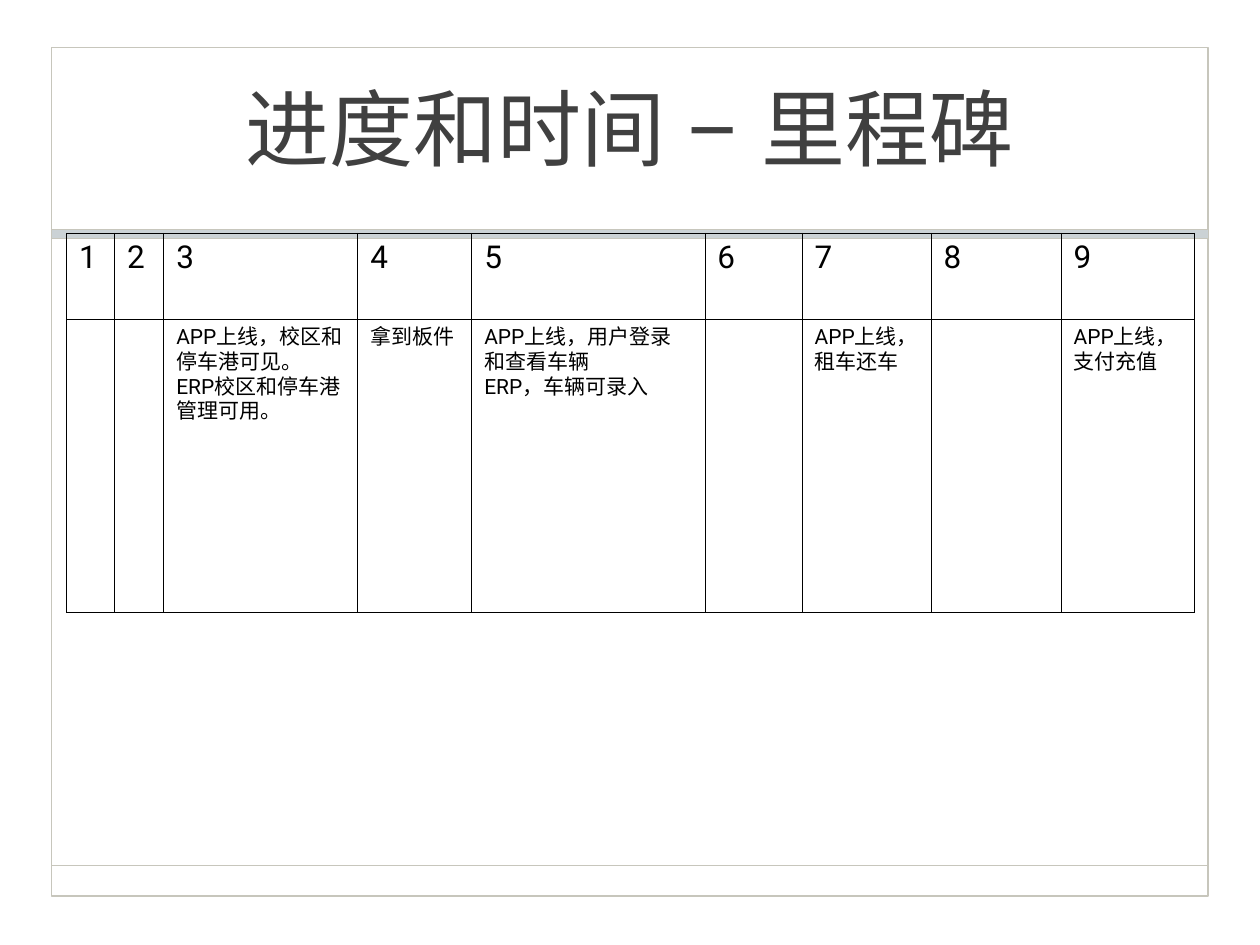
from lxml.etree import SubElement
from pptx import Presentation
from pptx.dml.color import RGBColor
from pptx.enum.shapes import MSO_CONNECTOR, MSO_SHAPE
from pptx.enum.text import MSO_ANCHOR, PP_ALIGN
from pptx.oxml.ns import qn
from pptx.util import Cm, Pt

TITLE = "进度和时间 – 里程碑"
MILESTONES = [
    "",
    "",
    "APP上线，校区和停车港可见。\nERP校区和停车港管理可用。",
    "拿到板件",
    "APP上线，用户登录和查看车辆\nERP，车辆可录入",
    "",
    "APP上线，租车还车",
    "",
    "APP上线，支付充值",
]
ROWS = [
    {"texts": [str(week) for week in range(1, len(MILESTONES) + 1)], "height": 1.73, "size": 18},
    {"texts": MILESTONES, "height": 5.92, "size": 12},
]
COLUMN_WIDTHS = [0.97, 0.99, 3.91, 2.3, 4.7, 1.96, 2.6, 2.62, 2.68]
COLORS = {"frame": "C7C6BC", "band": "CBD2D5", "title": "404040", "text": "000000", "border": "000000"}
FONT = "Roboto"
FRAME_LEFT, FRAME_WIDTH = 1.04, 23.31
BORDER_WIDTH = Pt(0.45)


def color(name):
    """Return the named colour."""
    return RGBColor.from_string(COLORS[name])


def style_text(frame, size, color_name):
    """Format every run of a text frame."""
    for para in frame.paragraphs:
        for span in para.runs:
            span.font.name = FONT
            span.font.size = Pt(size)
            span.font.color.rgb = color(color_name)
            SubElement(span.font._element, qn("a:ea")).set("typeface", FONT)


def add_box(page, top, height, line_width, fill=None):
    """Add a rectangle as wide as the page frame."""
    box = page.shapes.add_shape(
        MSO_SHAPE.RECTANGLE, Cm(FRAME_LEFT), Cm(top), Cm(FRAME_WIDTH), Cm(height))
    box.shadow.inherit = False
    if fill:
        box.fill.solid()
        box.fill.fore_color.rgb = color(fill)
    else:
        box.fill.background()
    box.line.color.rgb = color("frame")
    box.line.width = Pt(line_width)


def add_footer_line(page, top):
    """Add the thin rule near the bottom of the frame."""
    rule = page.shapes.add_connector(
        MSO_CONNECTOR.STRAIGHT, Cm(FRAME_LEFT), Cm(top), Cm(FRAME_LEFT + FRAME_WIDTH), Cm(top))
    rule.line.color.rgb = color("frame")
    rule.line.width = Pt(1)
    SubElement(rule._element.spPr, qn("a:effectLst"))


def add_title(page):
    """Place and format the title."""
    title = page.shapes.title
    title.left, title.top, title.width, title.height = Cm(2.49), Cm(0.69), Cm(20.4), Cm(3.73)
    frame = title.text_frame
    frame.text = TITLE
    frame.vertical_anchor = MSO_ANCHOR.MIDDLE
    frame.paragraphs[0].alignment = PP_ALIGN.CENTER
    style_text(frame, 48, "title")


def style_cell(cell):
    """Give a cell thin borders on all sides and no fill."""
    properties = cell._tc.get_or_add_tcPr()
    for side in ("lnL", "lnR", "lnT", "lnB"):
        border = SubElement(properties, qn(f"a:{side}"), w=str(BORDER_WIDTH))
        fill = SubElement(border, qn("a:solidFill"))
        SubElement(fill, qn("a:srgbClr"), val=COLORS["border"])
    cell.fill.background()


def add_milestones(page):
    """Add the table of milestones."""
    height = sum(row["height"] for row in ROWS)
    table = page.shapes.add_table(
        len(ROWS), len(COLUMN_WIDTHS), Cm(1.34), Cm(4.7), Cm(sum(COLUMN_WIDTHS)), Cm(height)).table
    table.first_row = table.horz_banding = False
    for column, width in zip(table.columns, COLUMN_WIDTHS):
        column.width = Cm(width)
    for line, row in zip(table.rows, ROWS):
        line.height = Cm(row["height"])
        for cell, text in zip(line.cells, row["texts"]):
            cell.text_frame.text = text
            style_text(cell.text_frame, row["size"], "text")
            style_cell(cell)


def main():
    """Build the milestone slide."""
    deck = Presentation()
    deck.slide_width, deck.slide_height = Cm(25.4), Cm(19.05)
    page = deck.slides.add_slide(deck.slide_layouts[5])
    add_box(page, 0.96, 17.1, 1)
    add_footer_line(page, 17.45)
    add_box(page, 4.63, 0.18, 0.25, "band")
    add_title(page)
    add_milestones(page)
    deck.save("out.pptx")


if __name__ == "__main__":
    main()
